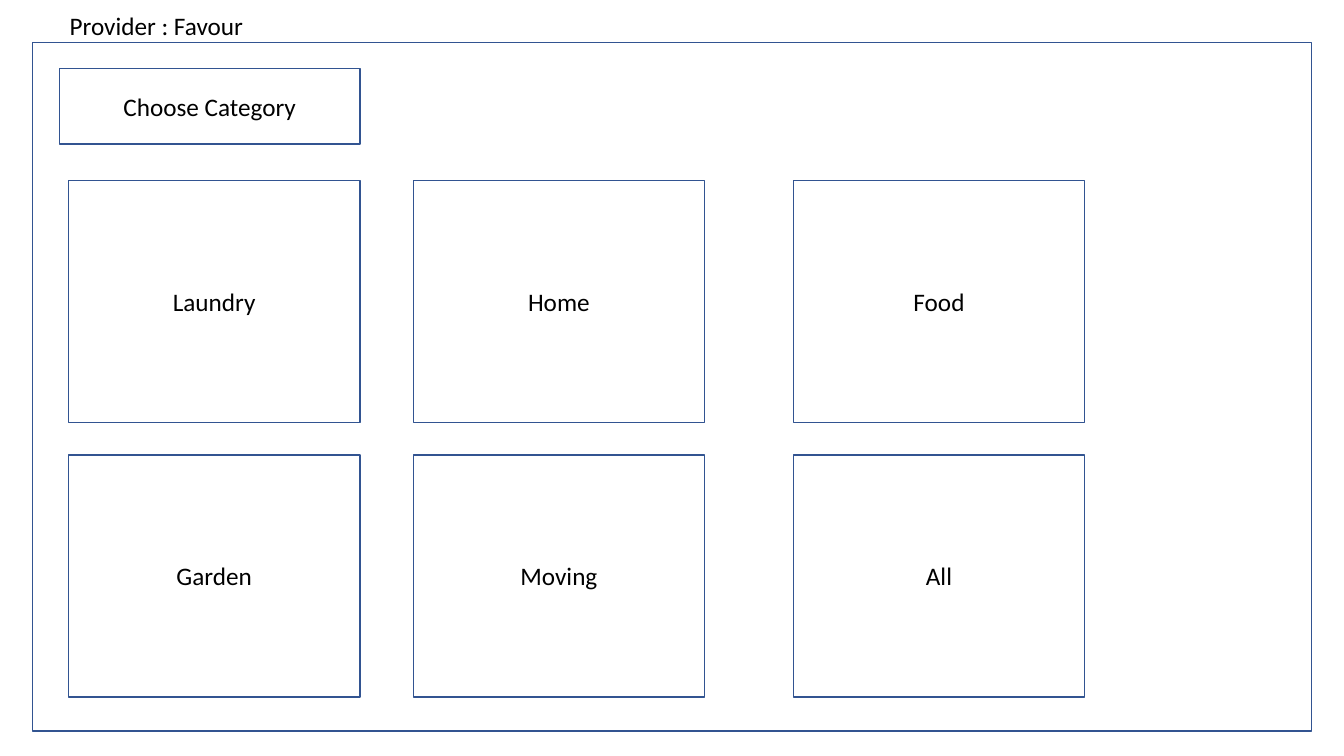
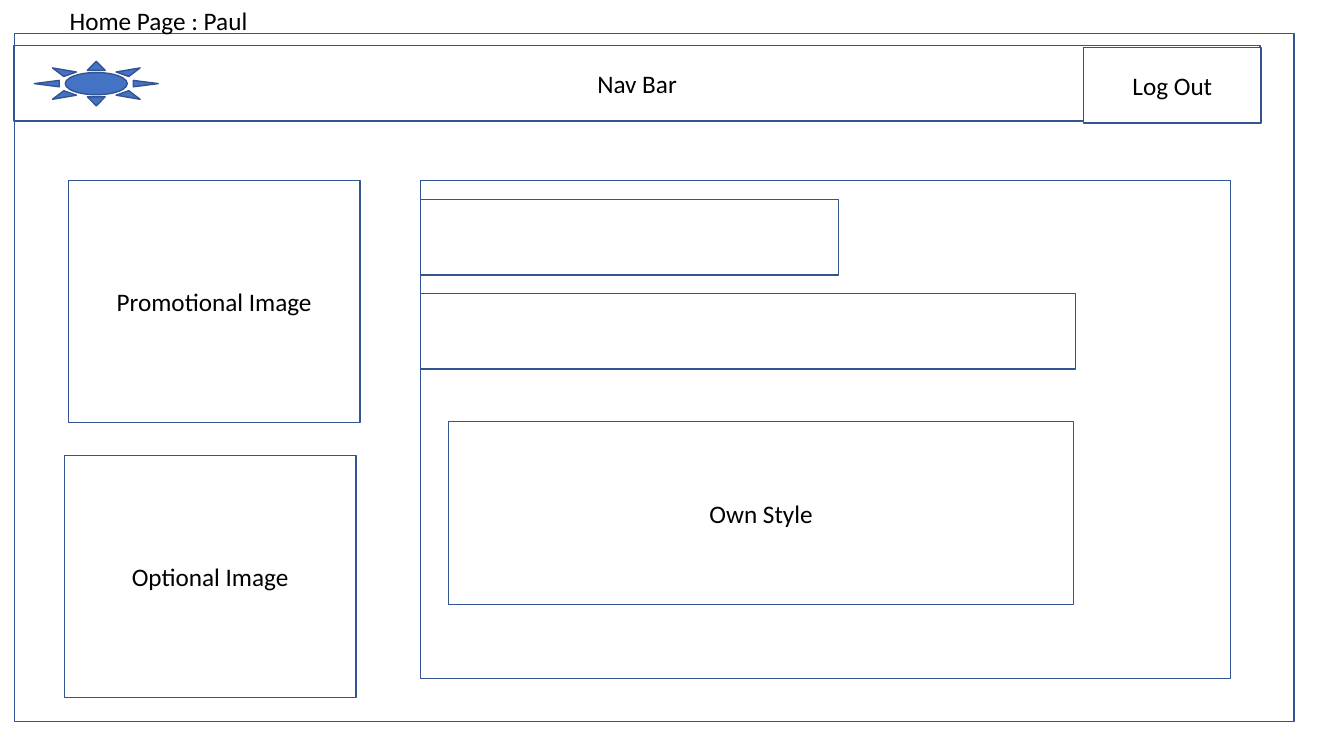
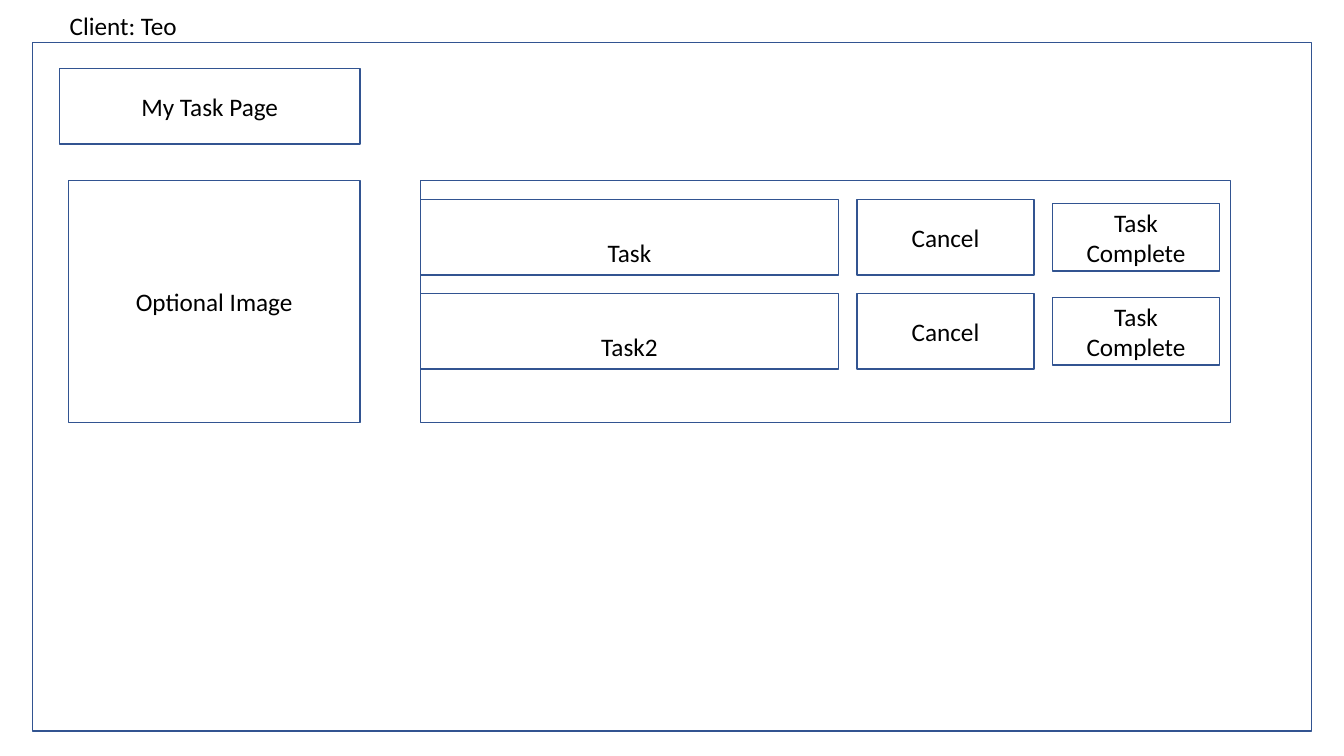
from dataclasses import dataclass
from itertools import product

from pptx import Presentation
from pptx.dml.color import RGBColor
from pptx.enum.shapes import MSO_SHAPE as Preset
from pptx.enum.text import MSO_ANCHOR as Anchor, MSO_AUTO_SIZE as AutoSize, PP_ALIGN as Align
from pptx.util import Inches, Pt


@dataclass(frozen=True)
class Theme:
    font: str = "Calibri"
    size: float = 18
    line_width: float = 1
    text: str = "000000"
    paper: str = "FFFFFF"
    outline: str = "325491"
    accent: str = "4472C4"


# Lengths are percentages of the slide's width and height.
CARD_W, CARD_H = 21.68, 32
CARD_LEFT, CARD_TOP, CARD_ROW_2 = 5.1, 23.87, 60.18
PANEL_LEFT, PANEL_W = 31.27, 60.3
BAR_H, TASK_W, BUTTON_W = 10, 31.13, 13.2
TASK_ROWS = (26.4, 38.8)


class Wireframe:
    def __init__(self, theme):
        self.theme = theme
        self.deck = Presentation()
        self.deck.slide_width, self.deck.slide_height = Inches(13.33), Inches(7.5)
        self.slide = None

    def place(self, left, top, width, height):
        across, down = self.deck.slide_width / 100, self.deck.slide_height / 100
        return [round(v) for v in (left * across, top * down, width * across, height * down)]

    def add_label(self, frame, words, align, anchor):
        frame.word_wrap = True
        frame.vertical_anchor = anchor
        paragraph = frame.paragraphs[0]
        paragraph.alignment = align
        run = paragraph.add_run()
        run.text = words
        run.font.name, run.font.size = self.theme.font, Pt(self.theme.size)
        run.font.color.rgb = RGBColor.from_string(self.theme.text)

    def page(self, title, left=2.4, top=5.6, title_top=0.67):
        """Start a slide with its page outline and the title in front of it."""
        self.slide = self.deck.slides.add_slide(self.deck.slide_layouts[5])
        outline = self.box(left, top, 95.18, 91.07)
        heading = self.slide.shapes.title
        heading.left, heading.top, heading.width, heading.height = self.place(
            4.43, title_top, 15.83, 5.33)
        self.add_label(heading.text_frame, title, Align.LEFT, Anchor.TOP)
        heading.text_frame.auto_size = AutoSize.NONE
        outline.element.addnext(heading.element)

    def box(self, left, top, width, height, label="",
            preset=Preset.FLOWCHART_PROCESS, fill=None):
        shape = self.slide.shapes.add_shape(preset, *self.place(left, top, width, height))
        shape.shadow.inherit = False
        shape.fill.solid()
        shape.fill.fore_color.rgb = RGBColor.from_string(fill or self.theme.paper)
        shape.line.color.rgb = RGBColor.from_string(self.theme.outline)
        shape.line.width = Pt(self.theme.line_width)
        if label:
            self.add_label(shape.text_frame, label, Align.CENTER, Anchor.MIDDLE)
        return shape

    def bar(self, left, top, width, label, height=BAR_H):
        return self.box(left, top, width, height, label, Preset.RECTANGLE)

    def card(self, label, left=CARD_LEFT, top=CARD_TOP):
        return self.box(left, top, CARD_W, CARD_H, label)

    def heading(self, label):
        return self.bar(4.43, 9.07, 22.35, label)

    def panel(self, height):
        return self.box(PANEL_LEFT, CARD_TOP, PANEL_W, height)

    def task(self, label, top):
        """Draw a task, its label one line low, with its two buttons."""
        task = self.box(PANEL_LEFT, top, TASK_W, BAR_H, label)
        task.text_frame.margin_top = Inches(0.35)
        self.bar(63.75, top, BUTTON_W, "Cancel")
        done_height = 8.93
        self.box(78.3, top + (BAR_H - done_height) / 2, 12.45, done_height, "Task Complete")


def category_page(wire):
    wire.page("Provider : Favour")
    wire.heading("Choose Category")
    categories = ("Laundry", "Home", "Food", "Garden", "Moving", "All")
    cells = product((CARD_TOP, CARD_ROW_2), (CARD_LEFT, 30.75, 59.03))
    for category, (top, left) in zip(categories, cells):
        wire.card(category, left, top)


def home_page(wire):
    wire.page("Home Page : Paul", left=1.1, top=4.4, title_top=0)
    wire.bar(1.05, 6, 92.7, "Nav Bar")
    wire.bar(80.63, 6.27, BUTTON_W, "Log Out")
    wire.box(2.55, 8.13, 9.23, 5.87, preset=Preset.SUN, fill=wire.theme.accent)
    wire.card("Promotional Image")
    wire.card("Optional Image", 4.8, 60.27)
    wire.panel(65.87)
    for top, width in zip(TASK_ROWS, (TASK_W, 48.75)):
        wire.box(PANEL_LEFT, top, width, BAR_H)
    wire.bar(33.38, 55.73, 46.5, "Own Style", height=24.27)


def task_page(wire):
    wire.page("Client: Teo")
    wire.heading("My Task Page")
    wire.card("Optional Image")
    wire.panel(CARD_H)
    for label, top in zip(("Task", "Task2"), TASK_ROWS):
        wire.task(label, top)


def main():
    wire = Wireframe(Theme())
    for build in (category_page, home_page, task_page):
        build(wire)
    wire.deck.save("out.pptx")


if __name__ == "__main__":
    main()
